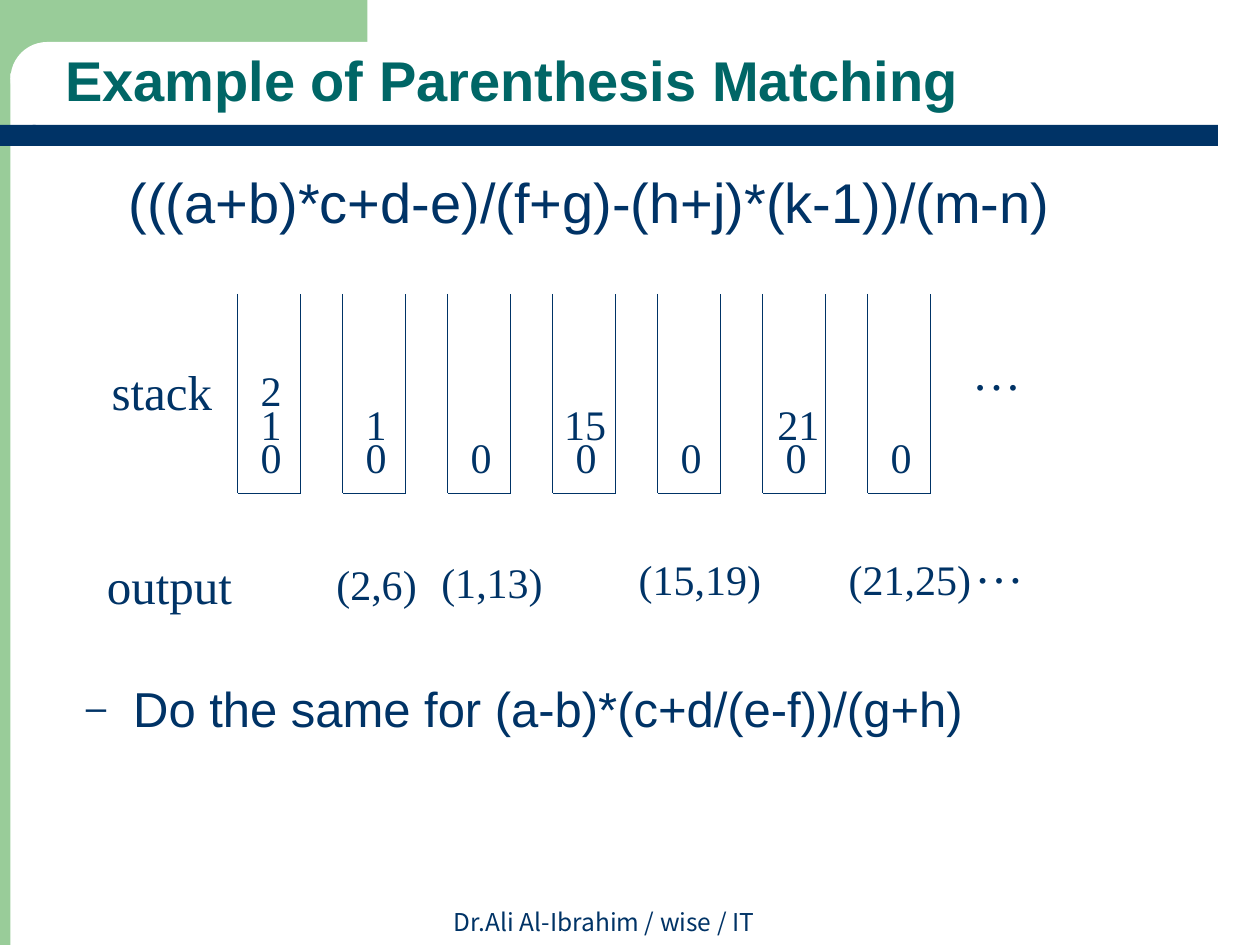
from dataclasses import dataclass

from lxml import etree
from pptx import Presentation
from pptx import util as u
from pptx.dml.color import RGBColor
from pptx.enum import shapes, text
from pptx.oxml.ns import qn


@dataclass(frozen=True)
class Theme:
    green = RGBColor.from_string("99CC99")
    white = RGBColor.from_string("FFFFFF")
    navy = RGBColor.from_string("003366")
    teal = RGBColor.from_string("006666")
    sans = "Arial"
    serif = "Times New Roman"
    footer = "Noto Sans CJK KR"
    heading_size = u.Pt(32)
    label_size = u.Pt(28)
    entry_size = u.Pt(24)
    footer_size = u.Pt(14)


theme = Theme()
presentation = Presentation()
presentation.slide_width, presentation.slide_height = u.Inches(10), u.Inches(7.5)
cell = presentation.slide_width / 120  # the slide is a grid of 120 columns and 90 rows


def cells(*counts):
    return [u.Emu(round(count * cell)) for count in counts]


def add_label(parent, wording, box, wrap=False, anchor=text.MSO_ANCHOR.TOP, **font):
    """Add a text box at box (in grid cells) and return its paragraph."""
    frame = parent.add_textbox(*cells(*box)).text_frame
    frame.word_wrap = wrap
    frame.vertical_anchor = anchor
    if not wrap:
        frame.auto_size = text.MSO_AUTO_SIZE.SHAPE_TO_FIT_TEXT
    paragraph = frame.paragraphs[0]
    run = paragraph.add_run()
    run.text = wording
    run.font.color.rgb = theme.navy
    for name, value in font.items():
        setattr(run.font, name, value)
    return paragraph


slide = presentation.slides.add_slide(presentation.slide_layouts[5])

# Frame: green side and top bands, white rounded cut-out, navy rule with a round end
preset = shapes.MSO_SHAPE
for kind, box, colour, rotation in [
    (preset.RECTANGLE, (-7, 0, 8, 90), theme.green, 0),
    (preset.RECTANGLE, (-2, 0, 37, 7), theme.green, 0),
    (preset.ROUNDED_RECTANGLE, (1, 4, 67, 7), theme.white, 0),
    (preset.RECTANGLE, (3.1, 11.9, 112.9, 2), theme.navy, 0),
    (preset.FLOWCHART_DELAY, (-3, 11.9, 6.4, 2), theme.navy, 180),
]:
    shape = slide.shapes.add_shape(kind, *cells(*box))
    shape.rotation = rotation
    shape.shadow.inherit = False
    shape.fill.solid()
    shape.fill.fore_color.rgb = colour
    shape.line.fill.background()
    if kind == preset.ROUNDED_RECTANGLE:
        shape.adjustments[0] = 0.5

# Title, brought in front of the frame
title = slide.shapes.title
title.element.getparent().append(title.element)
title.left, title.top, title.width, title.height = cells(5, 3.4, 105, 8)
title.text_frame.text = "Example of Parenthesis Matching"
title.text_frame.vertical_anchor = text.MSO_ANCHOR.BOTTOM
title.text_frame.auto_size = text.MSO_AUTO_SIZE.NONE
paragraph = title.text_frame.paragraphs[0]
paragraph.alignment = text.PP_ALIGN.LEFT
paragraph.line_spacing = 0.9
title_font = {"name": theme.sans, "size": theme.heading_size, "bold": True}
for name, value in title_font.items():
    setattr(paragraph.runs[0].font, name, value)
paragraph.runs[0].font.color.rgb = theme.teal

# Expression, with its first line six columns in
expression = add_label(slide.shapes, "(((a+b)*c+d-e)/(f+g)-(h+j)*(k-1))/(m-n)",
                       (5, 15.4, 112, 10), wrap=True,
                       name=theme.sans, size=theme.heading_size)
expression.space_before = u.Pt(8)
properties = expression._p.get_or_add_pPr()
left_margin, first_line = cells(9.75, -3.7)
properties.set("marL", str(left_margin))
properties.set("indent", str(first_line))

# Stacks: entries from the bottom up, each with its shift from the left wall
first_left, step, stack_width = 22.65, 10, 6
stack_top, stack_bottom, bottom_entry, entry_step = 28, 47, 40.55, 3.2
entry_font = {"name": theme.serif, "size": theme.entry_size}
stacks = [
    [("0", 1), ("1", 1), ("2", 1)],
    [("0", 1), ("1", 1)],
    [("0", 1)],
    [("0", 1), ("15", -0.1)],
    [("0", 1)],
    [("0", 1), ("21", 0.2)],
    [("0", 1)],
]
for index, entries in enumerate(stacks):
    left = first_left + index * step
    right = left + stack_width
    group = slide.shapes.add_group_shape().shapes
    corners = [(left, stack_top), (left, stack_bottom),
               (right, stack_bottom), (right, stack_top)]
    for start, end in zip(corners, corners[1:]):
        wall = group.add_connector(shapes.MSO_CONNECTOR.STRAIGHT, *cells(*start, *end))
        wall.line.color.rgb = theme.navy
        wall.line.width = u.Pt(0.75)
        etree.SubElement(wall.element.spPr, qn("a:effectLst"))
    for level, (value, shift) in enumerate(entries):
        add_label(group, value,
                  (left + shift, bottom_entry - level * entry_step,
                   2.4 + 2.05 * len(value), 6), **entry_font)

# Matched pairs: stack index, shift from the left wall, top row, width
for wording, index, shift, top, width in [
    ("(2,6)", 1, -1.8, 52.6, 10.2),
    ("(1,13)", 2, -1.8, 52.4, 12.2),
    ("(15,19)", 4, -3, 52.1, 14.2),
    ("(21,25)", 6, -3, 52.1, 14.2),
]:
    add_label(slide.shapes, wording,
              (first_left + index * step + shift, top, width, 6), **entry_font)

for wording, left, top, width in [
    ("stack", 9.45, 33.85, 12),
    ("output", 9, 52.3, 14.3),
    ("…", 91.4, 31.9, 7.1),
    ("…", 91.65, 50.3, 7.1),
]:
    add_label(slide.shapes, wording, (left, top, width, 6.8),
              name=theme.serif, size=theme.label_size)

# Exercise with a dash bullet
exercise = add_label(slide.shapes, "Do the same for (a-b)*(c+d/(e-f))/(g+h)",
                     (7, 64, 112, 15), wrap=True,
                     name=theme.sans, size=theme.label_size)
exercise.space_before = u.Pt(7)
properties = exercise._p.get_or_add_pPr()
indent = cells(4.5)[0]
properties.set("marL", str(indent))
properties.set("indent", str(-indent))
bullet_colour = etree.SubElement(properties, qn("a:buClr"))
etree.SubElement(bullet_colour, qn("a:srgbClr"), val=str(theme.navy))
etree.SubElement(properties, qn("a:buSzPct"), val="75000")
etree.SubElement(properties, qn("a:buFont"), typeface=theme.sans)
etree.SubElement(properties, qn("a:buChar"), char="–")

footer = add_label(slide.shapes, "Dr.Ali Al-Ibrahim / wise / IT", (38.55, 85.65, 38, 4.1),
                   wrap=True, anchor=text.MSO_ANCHOR.BOTTOM,
                   name=theme.footer, size=theme.footer_size)
footer.alignment = text.PP_ALIGN.CENTER

presentation.save("out.pptx")
